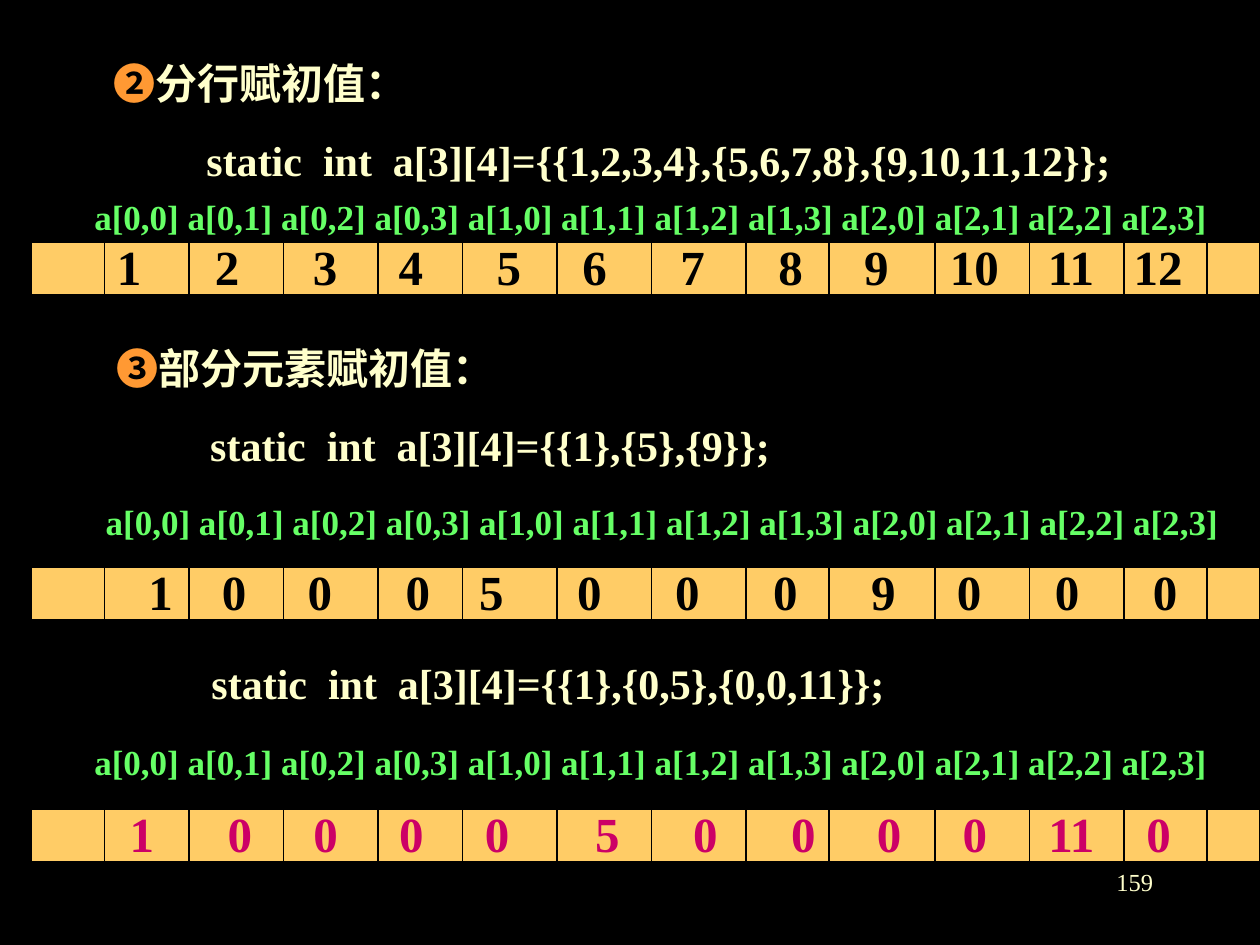
from itertools import accumulate

from lxml.etree import SubElement
from pptx import Presentation
from pptx.dml.color import RGBColor
from pptx.enum.shapes import MSO_CONNECTOR, MSO_SHAPE
from pptx.enum.text import PP_ALIGN
from pptx.oxml.ns import qn
from pptx.util import Inches, Pt

BLACK = RGBColor(0x00, 0x00, 0x00)
CREAM = RGBColor(0xFF, 0xFF, 0xCC)
ORANGE = RGBColor(0xFF, 0x99, 0x33)
GOLD = RGBColor(0xFF, 0xCC, 0x66)
GREEN = RGBColor(0x66, 0xFF, 0x66)
CRIMSON = RGBColor(0xCC, 0x00, 0x66)
SERIF = "Times New Roman"

# left, top, width, number, heading, code
SECTIONS = [
    (0.8, 0.41, 8.3, "❷", "分行赋初值：",
     "static  int  a[3][4]={{1,2,3,4},{5,6,7,8},{9,10,11,12}};"),
    (0.83, 2.67, 8.67, "❸", "部分元素赋初值：",
     "static  int  a[3][4]={{1},{5},{9}};"),
]
LAST_CODE = "static  int  a[3][4]={{1},{0,5},{0,0,11}};"
CODE_INDENT = 0.74

# Gaps between values are counted in half digits
MEMORY_ROWS = [
    {"top": 1.92, "label_at": (0.65, 1.5), "values_left": 0.83, "color": BLACK,
     "values": [1, 2, 3, 4, 5, 6, 7, 8, 9, 10, 11, 12],
     "gaps": [6, 6, 5, 6, 5, 6, 6, 5, 5, 4, 3]},
    {"top": 4.5, "label_at": (0.74, 3.92), "values_left": 1.08, "color": BLACK,
     "values": [1, 0, 0, 0, 5, 0, 0, 0, 9, 0, 0, 0],
     "gaps": [4, 5, 6, 4, 6, 6, 6, 6, 5, 6, 6]},
    {"top": 6.42, "label_at": (0.65, 5.83), "values_left": 0.93, "color": CRIMSON,
     "values": [1, 0, 0, 0, 0, 5, 0, 0, 0, 0, 11, 0],
     "gaps": [6, 5, 5, 5, 7, 6, 6, 5, 5, 5, 4]},
]
LABELS = " ".join(f"a[{row},{column}]" for row in range(3) for column in range(4))
LABELS_WIDTH = 9.2
BAR_LEFT, BAR_WIDTH, BAR_HEIGHT = 0.25, 9.75, 0.42
DIVIDERS = [0.83, 1.5, 2.25, 3, 3.67, 4.42, 5.17, 5.92, 6.58, 7.42, 8.17, 8.92, 9.58]
VALUE_SIZE = 28


def set_font(font, size, color, bold=True, name=SERIF):
    font.name, font.size, font.bold = name, Pt(size), bold
    font.color.rgb = color


def add_text(slide, left, top, width, height, text, size, color, bold=True):
    box = slide.shapes.add_textbox(Inches(left), Inches(top), Inches(width), Inches(height))
    box.text_frame.word_wrap = True
    paragraph = box.text_frame.paragraphs[0]
    paragraph.text = text
    set_font(paragraph.font, size, color, bold)
    return box.text_frame


def add_section(slide, left, top, width, number, heading, code):
    frame = add_text(slide, left, top, width, 1.11, "", 24, CREAM)
    for text, color, name in ((number, ORANGE, "Arial"), (heading, CREAM, SERIF)):
        run = frame.paragraphs[0].add_run()
        run.text = text
        set_font(run.font, 24, color, name=name)
    paragraph = frame.add_paragraph()
    paragraph.text = code
    paragraph.space_before = Pt(15)
    set_font(paragraph.font, 24, CREAM)
    paragraph._p.get_or_add_pPr().set("marL", str(Inches(CODE_INDENT)))


def set_tab_stops(paragraph, positions):
    properties = paragraph._p.get_or_add_pPr()
    tab_list = SubElement(properties, qn("a:tabLst"))
    properties.find(qn("a:defRPr")).addprevious(tab_list)
    for position in positions:
        SubElement(tab_list, qn("a:tab"), pos=str(position), algn="l")


def add_memory_row(slide, top, label_at, values_left, color, values, gaps):
    bar = slide.shapes.add_shape(MSO_SHAPE.RECTANGLE, Inches(BAR_LEFT), Inches(top),
                                 Inches(BAR_WIDTH), Inches(BAR_HEIGHT))
    bar.shadow.inherit = False
    bar.fill.solid()
    bar.fill.fore_color.rgb = GOLD
    bar.line.color.rgb = BLACK
    bar.line.width = Pt(1)

    for x in DIVIDERS:
        divider = slide.shapes.add_connector(MSO_CONNECTOR.STRAIGHT, Inches(x), Inches(top),
                                             Inches(x), Inches(top + BAR_HEIGHT))
        divider.line.color.rgb = BLACK
        divider.line.width = Pt(1)
        SubElement(divider._element.spPr, qn("a:effectLst"))

    add_text(slide, *label_at, LABELS_WIDTH, 0.44, LABELS, 20, GREEN)

    words = [str(value) for value in values]
    frame = add_text(slide, values_left, top - 0.09, 8.9, 0.57, "\t".join(words),
                     VALUE_SIZE, color)
    steps = [2 * len(word) + gap for word, gap in zip(words, gaps)]
    set_tab_stops(frame.paragraphs[0],
                  [Pt(VALUE_SIZE / 4 * step) for step in accumulate(steps)])


def main():
    presentation = Presentation()
    presentation.slide_width, presentation.slide_height = Inches(10), Inches(7.5)
    slide = presentation.slides.add_slide(presentation.slide_layouts[6])
    slide.background.fill.solid()
    slide.background.fill.fore_color.rgb = BLACK

    for section in SECTIONS:
        add_section(slide, *section)
    add_text(slide, 1.58, 5.17, 5.67, 0.5, LAST_CODE, 24, CREAM)
    for memory_row in MEMORY_ROWS:
        add_memory_row(slide, **memory_row)
    page_number = add_text(slide, 7.17, 6.83, 2.08, 0.5, "159", 14, CREAM, bold=False)
    page_number.paragraphs[0].alignment = PP_ALIGN.RIGHT

    presentation.save("out.pptx")


if __name__ == "__main__":
    main()
